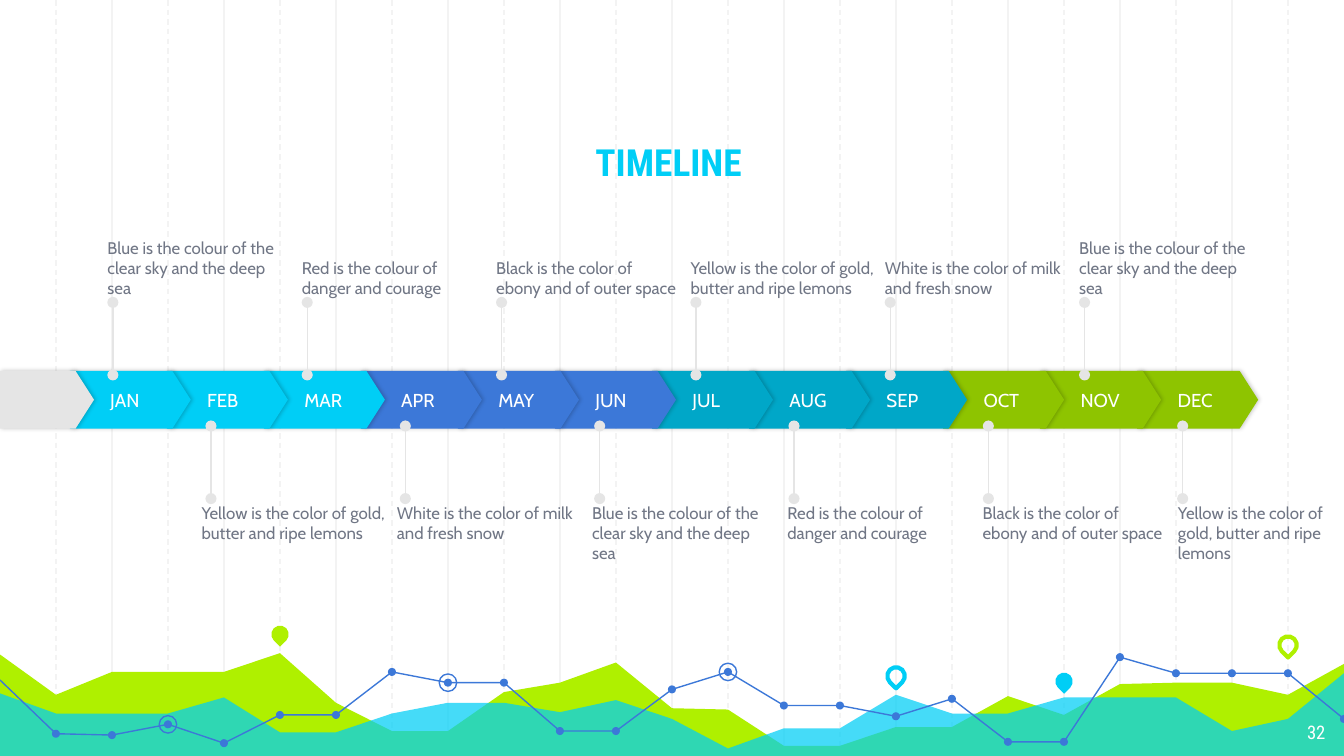
from lxml import etree
from pptx import Presentation
from pptx import util as u
from pptx.dml.color import RGBColor
from pptx.enum import dml, shapes, text
from pptx.oxml.ns import qn

STEP = 10 / 24
LIME, CYAN, BLUE, GREY = "AFF000", "00CEF6", "3C78D8", "E5E5E5"
LIME_AREA = [4.87, 5.17, 5, 5, 5, 4.86, 5.23, 5.44, 5.44, 5.15, 5.08, 4.93, 5.27,
             5.28, 5.55, 5.55, 5.41, 5.41, 5.18, 5.32, 5.09, 5.08, 5.08, 5.17, 4.94]
CYAN_AREA = [5.16, 5.31, 5.31, 5.31, 5.19, 5.45, 5.45, 5.31, 5.23, 5.23, 5.3, 5.21, 5.35,
             5.57, 5.42, 5.42, 5.17, 5.31, 5.31, 5.19, 5.19, 5.19, 5.44, 5.35, 5.01]
TREND = [5.06, 5.46, 5.47, 5.39, 5.53, 5.32, 5.32, 5, 5.08, 5.08, 5.44, 5.44, 5.13,
         5, 5.25, 5.25, 5.33, 5.2, 5.52, 5.52, 4.89, 5.01, 5.01, 5.01, 5.35]
MONTHS = "JAN FEB MAR APR MAY JUN JUL AUG SEP OCT NOV DEC".split()
QUARTERS = [CYAN, BLUE, "00A7C8", "8EC400"]
SKY = "Blue is the colour of the clear sky and the deep sea"
DANGER = "Red is the colour of danger and courage"
EBONY = "Black is the color of ebony and of outer space"
GOLD = "Yellow is the color of gold, butter and ripe lemons"
MILK = "White is the color of milk and fresh snow"
NOTES_ABOVE = [SKY, DANGER, EBONY, GOLD, MILK, SKY]
NOTES_BELOW = [GOLD, MILK, SKY, DANGER, EBONY, GOLD]


def cm(inches):
    """Turn a slide measure in inches into a Cm length."""
    return u.Cm(inches * 2.54)


def rgb(code):
    """Turn a hex string into a colour."""
    return RGBColor.from_string(code)


def apply(target, values):
    """Set attributes from a dict of format values."""
    for name, value in values.items():
        setattr(target, name, value)


def paint(shape, fill=None, line=None, weight=0.75):
    """Give a shape its fill and line, without a shadow."""
    shape.shadow.inherit = False
    if fill:
        shape.fill.solid()
        shape.fill.fore_color.rgb = rgb(fill)
    else:
        shape.fill.background()
    if line:
        shape.line.color.rgb = rgb(line)
        shape.line.width = u.Pt(weight)
    else:
        shape.line.fill.background()


def add_alpha(colour, percent):
    """Make a colour element partly transparent."""
    etree.SubElement(colour, qn("a:alpha"), val=str(percent * 1000))


def write(shape, words, size, colour, font="Cabin", bold=False, inset=0, left=None,
          anchor=text.MSO_ANCHOR.TOP, align=text.PP_ALIGN.LEFT):
    """Write one formatted paragraph into a shape."""
    margin = cm(inset)
    frame = shape.text_frame
    apply(frame, {"word_wrap": True, "vertical_anchor": anchor,
                  "margin_left": margin if left is None else cm(left),
                  "margin_right": margin, "margin_top": margin, "margin_bottom": margin})
    paragraph = frame.paragraphs[0]
    paragraph.alignment = align
    run = paragraph.add_run()
    run.text = words
    apply(run.font, {"size": u.Pt(size), "name": font, "bold": bold})
    run.font.color.rgb = rgb(colour)


def add_label(slide, box, words, size, colour, **options):
    """Add a text box."""
    label = slide.shapes.add_textbox(*map(cm, box))
    write(label, words, size, colour, **options)


def add_line(slide, x, start, end, colour):
    """Add a thin vertical connector."""
    line = slide.shapes.add_connector(shapes.MSO_CONNECTOR.STRAIGHT,
                                      cm(x), cm(start), cm(x), cm(end))
    line.line.color.rgb = rgb(colour)
    line.line.width = u.Pt(0.75)
    etree.SubElement(line._element.spPr, qn("a:effectLst"))
    return line


def add_outline(slide, points, closed, **colours):
    """Add a freeform through the given points."""
    points = [(cm(x), cm(y)) for x, y in points]
    builder = slide.shapes.build_freeform(*points[0], scale=1.0)
    builder.add_line_segments(points[1:], close=closed)
    outline = builder.convert_to_shape()
    paint(outline, **colours)
    return outline


def add_mark(slide, kind, column, y, size, **colours):
    """Add a small shape centred on a grid column."""
    mark = slide.shapes.add_shape(kind, cm(column * STEP - size / 2), cm(y - size / 2),
                                  cm(size), cm(size))
    paint(mark, **colours)
    return mark


def add_pin(slide, column, y, **colours):
    """Add a map pin that points down."""
    add_mark(slide, shapes.MSO_SHAPE.TEAR, column, y, 0.13, **colours).rotation = 135


def add_arrow(slide, left, width, colour):
    """Add one arrow of the timeline band with a soft shadow."""
    arrow = slide.shapes.add_shape(shapes.MSO_SHAPE.PENTAGON,
                                   cm(left), cm(2.76), cm(width), cm(0.43))
    arrow.adjustments[0] = 0.32
    paint(arrow, fill=colour)
    effects = arrow._element.spPr.find(qn("a:effectLst"))
    shadow = etree.SubElement(effects, qn("a:outerShdw"), blurRad=str(u.Pt(2.2)),
                              dist=str(u.Pt(0.8)), dir="0", algn="bl", rotWithShape="0")
    add_alpha(etree.SubElement(shadow, qn("a:srgbClr"), val="000000"), 20)
    return arrow


def add_stem(slide, x, start, end):
    """Add a stem with a round dot at both ends."""
    stem = add_line(slide, x, start, end, GREY)
    for tip in ("a:headEnd", "a:tailEnd"):
        etree.SubElement(stem.line._get_or_add_ln(), qn(tip), type="oval")


def draw_grid(slide):
    """Draw solid lines on even columns and dashed ones on odd columns."""
    for first in (2, 1):
        for column in range(first, 24, 2):
            line = add_line(slide, column * STEP, 0, 5.65, "F3F3F3")
            if first == 1:
                line.line.dash_style = dml.MSO_LINE.DASH


def draw_landscape(slide):
    """Draw the areas, pins and trend line along the bottom."""
    areas = []
    for heights, colour in ((LIME_AREA, LIME), (CYAN_AREA, CYAN)):
        ridge = [(column * STEP, y) for column, y in enumerate(heights)]
        areas.append(add_outline(slide, ridge + [(10, 5.64), (0, 5.64)], True, fill=colour))
    add_alpha(areas[1]._element.spPr.find(qn("a:solidFill"))[0], 73)
    add_pin(slide, 5, 4.72, fill=LIME)
    add_pin(slide, 16, 5.03, line=CYAN, weight=2.25)
    add_pin(slide, 19, 5.07, fill=CYAN)
    trend = [(column * STEP, y) for column, y in enumerate(TREND)]
    for start, end in ((0, 11), (11, 20), (20, 24)):
        add_outline(slide, trend[start:end + 1], False, line=BLUE)
    for column, y in enumerate(TREND[1:], 1):
        add_mark(slide, shapes.MSO_SHAPE.OVAL, column, y, 0.06, fill=BLUE)
    for column in (8, 3, 13):
        add_mark(slide, shapes.MSO_SHAPE.OVAL, column, TREND[column], 0.13, line=BLUE)
    add_pin(slide, 23, 4.8, line=LIME, weight=2.25)


def draw_timeline(slide):
    """Draw the month band, last month first, so that each arrow overlaps the next."""
    for number, month in reversed(list(enumerate(MONTHS))):
        arrow = add_arrow(slide, 0.52 + 0.722 * number, 0.9, QUARTERS[number // 3])
        write(arrow, month, 10, "FFFFFF", left=0.3, anchor=text.MSO_ANCHOR.MIDDLE)
    add_arrow(slide, 0, 0.7, GREY)


def draw_notes(slide):
    """Draw the stems and notes above and below the band."""
    for number, note in enumerate(NOTES_ABOVE):
        shift = 1.446 * number
        add_stem(slide, 0.84 + shift, 2.79, 2.25)
        add_label(slide, (0.8 + shift, 1.64, 1.37, 0.58), note, 9, "707685",
                  anchor=text.MSO_ANCHOR.BOTTOM)
    for number, note in enumerate(NOTES_BELOW):
        add_stem(slide, 1.57 + 1.446 * number, 3.71, 3.17)
        width = 1.13 if number == len(NOTES_BELOW) - 1 else 1.37
        add_label(slide, (1.5 + 1.453 * number, 3.74, width, 0.58), note, 9, "707685")


def main():
    """Build the slide and save it."""
    deck = Presentation()
    apply(deck, {"slide_width": cm(10), "slide_height": cm(5.625)})
    slide = deck.slides.add_slide(deck.slide_layouts[6])
    draw_grid(slide)
    draw_landscape(slide)
    add_label(slide, (1.15, 0.69, 7.65, 0.78), "TIMELINE", 20, CYAN, font="Roboto Condensed",
              bold=True, inset=0.1, anchor=text.MSO_ANCHOR.BOTTOM, align=text.PP_ALIGN.CENTER)
    add_label(slide, (9.36, 5.28, 0.6, 0.35), "32", 10, "FFFFFF", font="Roboto Condensed",
              inset=0.1, align=text.PP_ALIGN.RIGHT)
    draw_timeline(slide)
    draw_notes(slide)
    deck.save("out.pptx")


if __name__ == "__main__":
    main()
